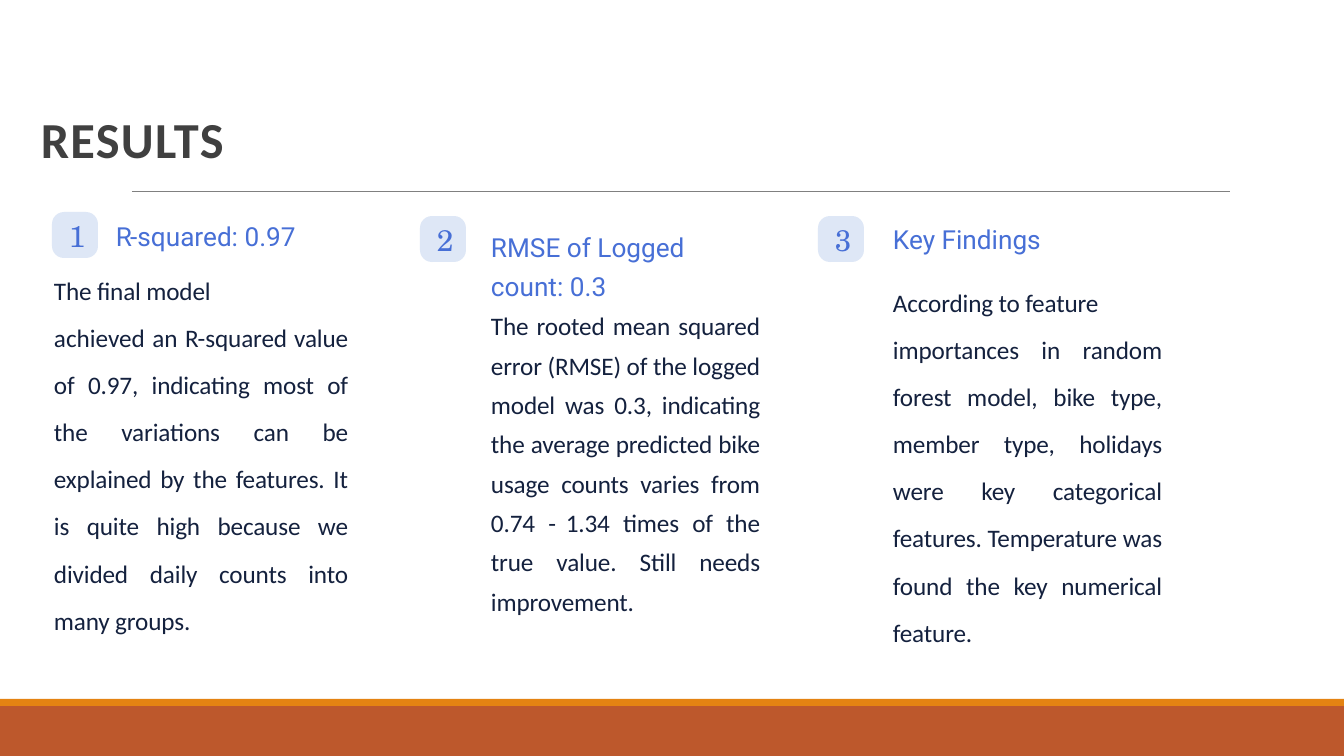
import pptx
import pptx.util
import pptx.dml.color
import pptx.enum.shapes
import pptx.enum.text
import pptx.oxml

PX = 914400 / 100.8
Pt = pptx.util.Pt
SHAPE = pptx.enum.shapes.MSO_SHAPE
JUSTIFY = pptx.enum.text.PP_ALIGN.JUSTIFY

prs = pptx.Presentation()
prs.slide_width, prs.slide_height = round(1344 * PX), round(756 * PX)
s = prs.slides.add_slide(prs.slide_layouts[6])


def color(value):
    return pptx.dml.color.RGBColor.from_string(value)


def add_text(box, paragraphs, indent=2, anchor="TOP"):
    tf = s.shapes.add_textbox(*[round(v * PX) for v in box]).text_frame
    frame = {"word_wrap": True, "margin_left": 0, "margin_right": 0,
             "margin_top": round(2 * PX), "margin_bottom": 0,
             "vertical_anchor": pptx.enum.text.MSO_ANCHOR[anchor]}
    for name, value in frame.items():
        setattr(tf, name, value)
    for i, (runs, font, layout) in enumerate(paragraphs):
        p = tf.add_paragraph() if i else tf.paragraphs[0]
        p._p.get_or_add_pPr().set("marL", str(round(indent * PX)))
        for name, value in layout.items():
            setattr(p, name, value)
        for text, spacing in runs:
            r = p.add_run()
            r.text = text
            for name, value in font.items():
                if name == "color":
                    r.font.color.rgb = color(value)
                else:
                    setattr(r.font, name, value)
            r._r.get_or_add_rPr().set("spc", str(round(spacing * 100)))


title_font = {"size": Pt(36), "name": "Calibri", "bold": True, "color": "404040"}
number_font = {"size": Pt(21.3), "name": "TeX Gyre Schola", "color": "476FD6"}
heading_font = {"size": Pt(18.7), "name": "Roboto", "color": "476FD6"}
body_font = {"size": Pt(18), "name": "Calibri", "color": "14213E"}
first = {"space_before": Pt(1.3)}
first_wide = {**first, "line_spacing": 1.25}
body_first = {**first, "alignment": JUSTIFY}
body_loose = {"alignment": JUSTIFY, "line_spacing": 1.56}
body_exact = {"alignment": JUSTIFY, "line_spacing": Pt(28.1)}

for top, height, fill in [(706, 50, "BD582C"), (699, 7, "E48312")]:
    sp = s.shapes.add_shape(SHAPE.RECTANGLE, 0, round(top * PX), prs.slide_width, round(height * PX))
    sp.shadow.inherit = False
    sp.fill.solid()
    sp.fill.fore_color.rgb = color(fill)
    sp.line.fill.background()

rule = s.shapes.add_connector(pptx.enum.shapes.MSO_CONNECTOR.STRAIGHT,
                              *[round(v * PX) for v in (132, 191, 1230, 191)])
rule.line.color.rgb = color("808080")
rule.line.width = Pt(0.5)
rule._element.spPr.append(pptx.oxml.parse_xml(
    '<a:effectLst xmlns:a="http://schemas.openxmlformats.org/drawingml/2006/main"/>'))

add_text((37, 107, 1270, 62), [([("RESULTS", 0.9)], title_font, first)], 4, "BOTTOM")

for number, (left, top) in enumerate([(52, 212), (420, 216), (818, 216)], 1):
    sp = s.shapes.add_shape(SHAPE.ROUNDED_RECTANGLE, *[round(v * PX) for v in (left, top, 46, 46)])
    sp.adjustments[0] = 0.26
    sp.shadow.inherit = False
    sp.fill.solid()
    sp.fill.fore_color.rgb = color("DEE7F6")
    sp.line.fill.background()
    add_text((left + 15, top + 4, 20, 38), [([(str(number), -0.7)], number_font, first)])

add_text((114, 218, 188, 33), [([("R-", -1.4), ("squared: 0.97", 0)], heading_font, first)])
add_text((52, 273, 296, 378), [
    ([("The final model", -0.1)], body_font, body_first),
    ([("achieved an ", 0), ("R-", -0.7),
      ("squared value of 0.97, indicating most of the variations can be explained by the "
       "features. It is quite high because we divided daily counts into many groups.", -0.1)],
     body_font, body_loose)])

add_text((489, 221, 271, 394), [
    ([("RMSE of Logged count: 0.3", 0)], heading_font, first_wide),
    ([("The rooted mean squared error (RMSE) of the logged model was 0.3, indicating the "
       "average predicted bike usage counts varies from 0.74 ", -0.1), ("- ", -2.7),
      ("1.34 times of the true value. Still needs improvement.", -0.1)],
     body_font, body_exact)])

add_text((891, 221, 252, 33), [([("Key Findings", 0)], heading_font, first)])
add_text((891, 285, 271, 378), [
    ([("According to feature", -0.1)], body_font, body_first),
    ([("importances in random forest model, bike type, member type, holidays were key "
       "categorical features. Temperature was found the key numerical feature.", -0.1)],
     body_font, body_loose)])

prs.save("out.pptx")
